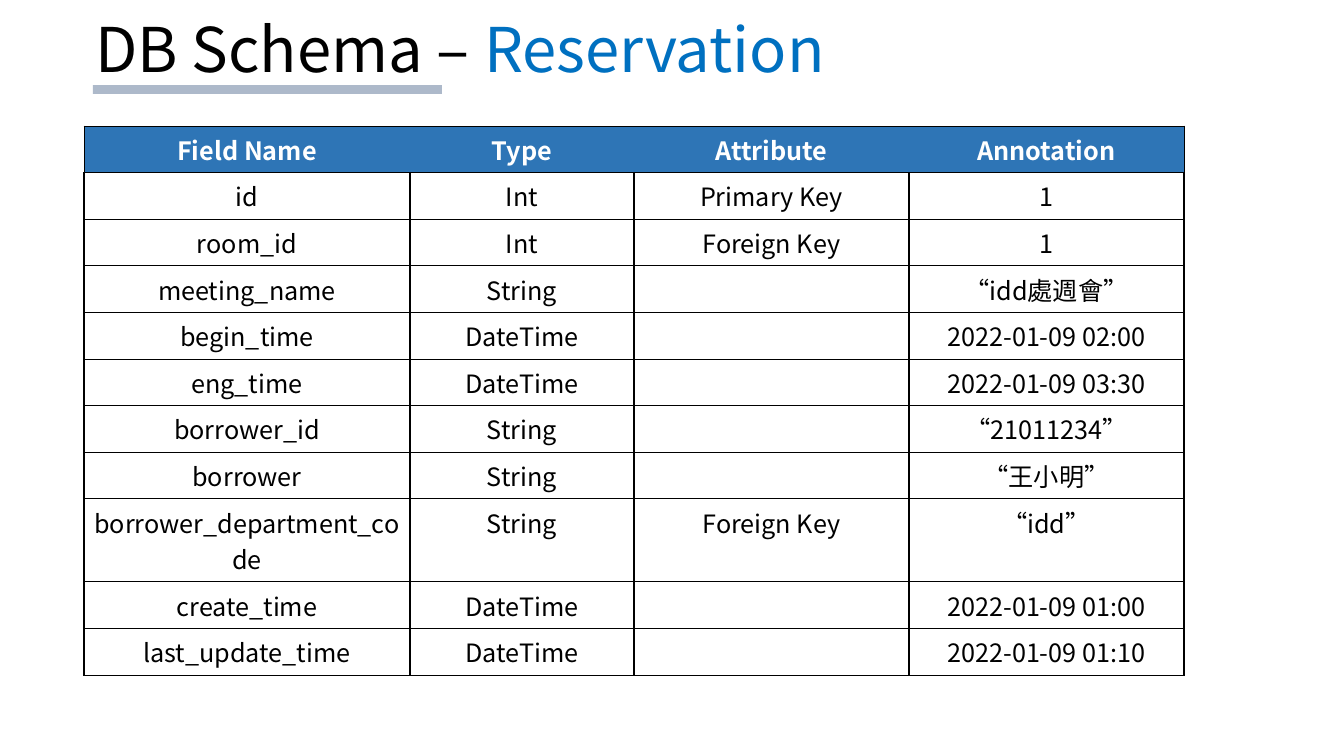
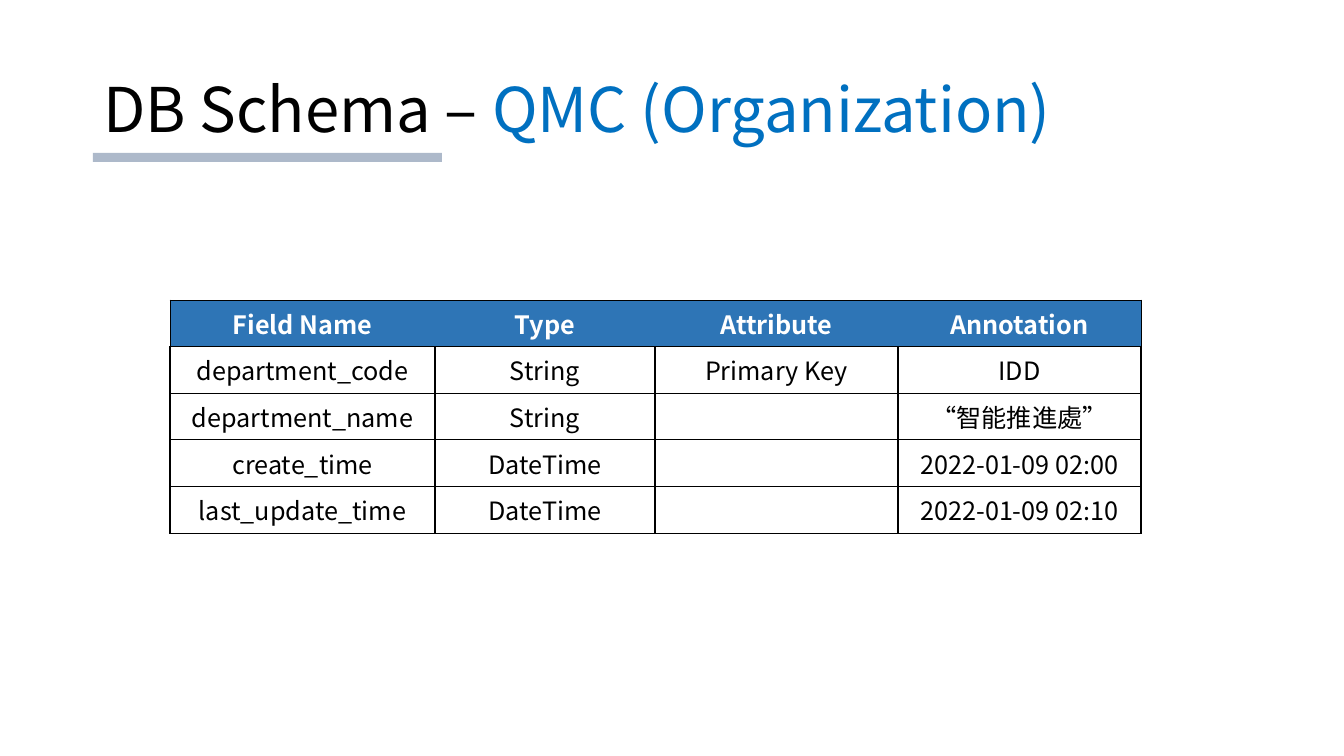
from lxml.etree import SubElement
from pptx import Presentation
from pptx.dml.color import RGBColor
from pptx.enum.shapes import MSO_SHAPE
from pptx.enum.text import MSO_ANCHOR, MSO_AUTO_SIZE, PP_ALIGN
from pptx.oxml.ns import qn
from pptx.util import Emu, Pt

FONT = "Noto Sans CJK SC"
COLORS = {
    "text": "000000",
    "accent": "0070C0",
    "header": "2E75B6",
    "header_text": "FFFFFF",
    "grid": "000000",
    "underline": "ADB9CA",
}
TITLE_ONLY = 5
TITLE_PREFIX = "DB Schema – "
FIELD_HEADINGS = ("Field Name", "Type", "Attribute", "Annotation")
ROW_HEIGHT = 41
THIN, THICK = 0.5, 1

SCHEMAS = [
    {
        "entity": "Reservation",
        "title_box": (85, -4, 1159, 113),
        "underline_box": (93, 85, 349, 9),
        "table_origin": (84, 126),
        "column_widths": (326, 224, 275, 275),
        "fields": [
            ("id", "Int", "Primary Key", "1"),
            ("room_id", "Int", "Foreign Key", "1"),
            ("meeting_name", "String", "", "“idd處週會”"),
            ("begin_time", "DateTime", "", "2022-01-09 02:00"),
            ("eng_time", "DateTime", "", "2022-01-09 03:30"),
            ("borrower_id", "String", "", "“21011234”"),
            ("borrower", "String", "", "“王小明”"),
            ("borrower_department_code", "String", "Foreign Key", "“idd”"),
            ("create_time", "DateTime", "", "2022-01-09 01:00"),
            ("last_update_time", "DateTime", "", "2022-01-09 01:10"),
        ],
    },
    {
        "entity": "QMC (Organization)",
        "title_box": (93, 40, 1159, 146),
        "underline_box": (93, 153, 349, 9),
        "table_origin": (170, 300),
        "column_widths": (265, 220, 243, 243),
        "fields": [
            ("department_code", "String", "Primary Key", "IDD"),
            ("department_name", "String", "", "“智能推進處”"),
            ("create_time", "DateTime", "", "2022-01-09 02:00"),
            ("last_update_time", "DateTime", "", "2022-01-09 02:10"),
        ],
    },
]


def px(length):
    """Turn whole pixels into EMU."""
    return Emu(round(length * 914400 / 100.8))


def rgb(role):
    """Look up the colour of a role."""
    return RGBColor.from_string(COLORS[role])


def format_run(run, size, role, bold=False):
    """Set font, size, colour and weight of a run, for all scripts."""
    font = run.font
    font.name, font.size, font.bold = FONT, Pt(size), bold
    font.color.rgb = rgb(role)
    SubElement(run._r.get_or_add_rPr(), qn("a:ea"), typeface=FONT)


def set_borders(cell, widths):
    """Draw cell borders; widths maps L, R, T and B to points, 0 for none."""
    properties = cell._tc.get_or_add_tcPr()
    for side in "LRTB":
        border = SubElement(properties, qn(f"a:ln{side}"),
                            w=str(Pt(widths[side])))
        if widths[side]:
            paint = SubElement(border, qn("a:solidFill"))
            SubElement(paint, qn("a:srgbClr"), val=COLORS["grid"])
        else:
            SubElement(border, qn("a:noFill"))


def add_title(slide, entity, box):
    """Fill the title placeholder, with the entity name in the accent colour."""
    title = slide.shapes.title
    title.left, title.top, title.width, title.height = map(px, box)
    frame = title.text_frame
    frame.text = TITLE_PREFIX
    frame.word_wrap = True
    frame.auto_size = MSO_AUTO_SIZE.NONE
    frame.vertical_anchor = MSO_ANCHOR.MIDDLE
    paragraph = frame.paragraphs[0]
    paragraph.alignment = PP_ALIGN.LEFT
    paragraph.line_spacing = 0.9
    paragraph.add_run().text = entity
    for run, role in zip(paragraph.runs, ("text", "accent")):
        format_run(run, 44, role)


def add_underline(slide, box):
    """Draw the bar under the title."""
    underline = slide.shapes.add_shape(MSO_SHAPE.RECTANGLE, *map(px, box))
    underline.shadow.inherit = False
    underline.fill.solid()
    underline.fill.fore_color.rgb = rgb("underline")
    underline.line.fill.background()


def format_cell(cell, text, is_header, is_first, is_last):
    """Write one cell; header cells have no lines between columns."""
    if is_header:
        set_borders(cell, {"L": THIN * is_first, "R": THIN * is_last,
                           "T": THIN, "B": THICK})
        cell.fill.solid()
        cell.fill.fore_color.rgb = rgb("header")
    else:
        set_borders(cell, {"L": THICK, "R": THICK, "T": THIN, "B": THIN})
        cell.fill.background()
    paragraph = cell.text_frame.paragraphs[0]
    paragraph.text = text
    paragraph.alignment = PP_ALIGN.CENTER
    for run in paragraph.runs:
        format_run(run, 18, "header_text" if is_header else "text", is_header)


def add_field_table(slide, origin, column_widths, fields):
    """Build the table of fields below its row of headings."""
    rows = [FIELD_HEADINGS, *fields]
    size = sum(column_widths), ROW_HEIGHT * len(rows)
    table = slide.shapes.add_table(len(rows), len(column_widths),
                                   *map(px, origin + size)).table
    table.horz_banding = False
    for column, width in zip(table.columns, column_widths):
        column.width = px(width)
    last = len(column_widths) - 1
    for r, values in enumerate(rows):
        table.rows[r].height = px(ROW_HEIGHT)
        for c, text in enumerate(values):
            format_cell(table.cell(r, c), text, r == 0, c == 0, c == last)


def add_schema_slide(deck, schema):
    """Add one slide that describes the fields of an entity."""
    slide = deck.slides.add_slide(deck.slide_layouts[TITLE_ONLY])
    add_title(slide, schema["entity"], schema["title_box"])
    add_field_table(slide, schema["table_origin"], schema["column_widths"],
                    schema["fields"])
    add_underline(slide, schema["underline_box"])


deck = Presentation()
deck.slide_width, deck.slide_height = px(1344), px(756)
for schema in SCHEMAS:
    add_schema_slide(deck, schema)
deck.save("out.pptx")
